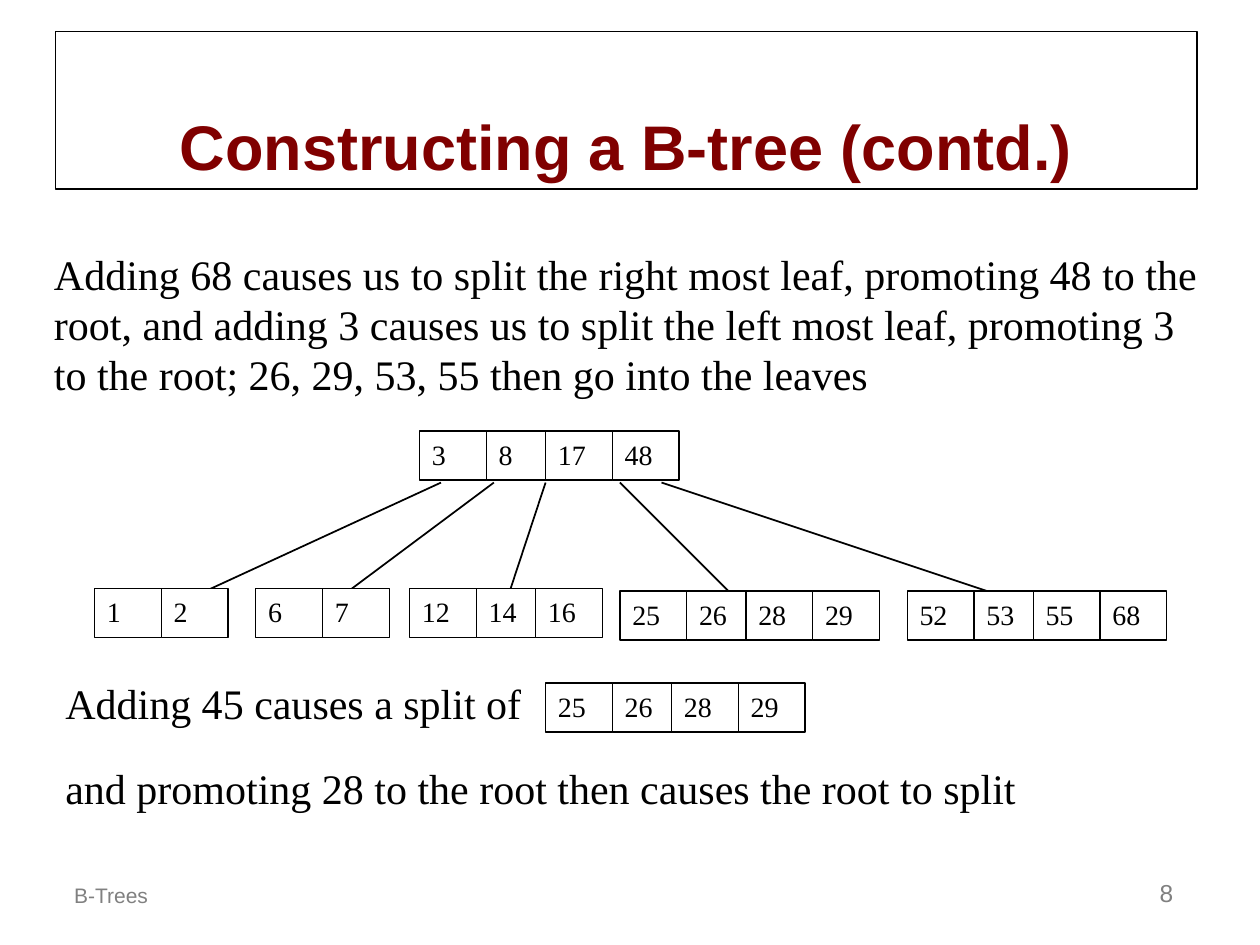
from typing import NamedTuple

from pptx import Presentation
from pptx.dml.color import RGBColor
from pptx.enum.shapes import MSO_CONNECTOR as Connector, MSO_SHAPE as Shape
from pptx.enum.text import MSO_ANCHOR as Anchor, PP_ALIGN as Align
from pptx.oxml.ns import qn
from pptx.shapes.shapetree import GroupShapes, SlideShapes
from pptx.util import Inches, Pt

COLORS = {"ink": "000000", "paper": "FFFFFF", "title": "800000", "footer": "808080"}
SANS, SERIF = "Arial", "Times New Roman"
CELL_OFFSETS = (0, 0.53, 1, 1.53)
CELL_WIDTH, CELL_HEIGHT = 0.53, 0.39
LINK_TOP, LINK_BOTTOM = 3.83, 4.83

ShapeTree = SlideShapes | GroupShapes


class Box(NamedTuple):
    left: float
    top: float
    width: float
    height: float


class Style(NamedTuple):
    size: int
    font: str = SERIF
    color: str = "ink"
    bold: bool = False
    align: Align = Align.LEFT
    anchor: Anchor = Anchor.TOP


class Label(NamedTuple):
    text: str
    box: Box
    style: Style


class Node(NamedTuple):
    left: float
    top: float
    keys: tuple[int, ...]


class Link(NamedTuple):
    start: float
    end: float


BODY = Style(24)
KEY = Style(16)
HEADING = Style(36, SANS, "title", True, Align.CENTER, Anchor.BOTTOM)

TITLE = Label("Constructing a B-tree (contd.)", Box(0.44, 0.25, 9.06, 1.25), HEADING)
LABELS = (
    Label("B-Trees", Box(0.49, 6.75, 3, 0.5),
          Style(12, SANS, "footer", anchor=Anchor.BOTTOM)),
    Label("8", Box(7.33, 6.75, 2.08, 0.5),
          Style(14, SANS, "footer", align=Align.RIGHT, anchor=Anchor.BOTTOM)),
    Label("Adding 68 causes us to split the right most leaf, promoting 48 to the root, "
          "and adding 3 causes us to split the left most leaf, promoting 3 to the root; "
          "26, 29, 53, 55 then go into the leaves", Box(0.33, 1.92, 9.33, 1.3), BODY),
)
LINKS = (Link(3.5, 1.33), Link(3.92, 2.58), Link(4.33, 4), Link(4.92, 5.92), Link(5.25, 8.25))
TREE = (
    Node(3.33, 3.42, (3, 8, 17, 48)),
    Node(7.2, 4.69, (52, 53, 55, 68)),
    Node(4.92, 4.69, (25, 26, 28, 29)),
    Node(0.75, 4.67, (1, 2)),
    Node(2.03, 4.67, (6, 7)),
    Node(3.25, 4.67, (12, 14, 16)),
)
SPLIT_LABELS = (
    Label("Adding 45 causes a split of", Box(0.42, 5.33, 4, 0.5), BODY),
    Label("and promoting 28 to the root then causes the root to split",
          Box(0.42, 6, 9.08, 0.5), BODY),
)
SPLIT_NODE = Node(4.33, 5.42, (25, 26, 28, 29))


def rgb(name: str) -> RGBColor:
    """Return the named colour."""
    return RGBColor.from_string(COLORS[name])


def write(shape, text: str, style: Style) -> None:
    """Write one styled run into a shape."""
    frame = shape.text_frame
    frame.word_wrap = True
    frame.vertical_anchor = style.anchor
    paragraph = frame.paragraphs[0]
    paragraph.alignment = style.align
    run = paragraph.add_run()
    run.text = text
    run.font.size = Pt(style.size)
    run.font.name = style.font
    run.font.bold = style.bold
    run.font.color.rgb = rgb(style.color)


def draw_label(shapes: ShapeTree, label: Label) -> None:
    """Draw a plain text box."""
    write(shapes.add_textbox(*map(Inches, label.box)), label.text, label.style)


def draw_framed(shapes: ShapeTree, label: Label) -> None:
    """Draw a white rectangle with a thin outline and text."""
    shape = shapes.add_shape(Shape.RECTANGLE, *map(Inches, label.box))
    shape.shadow.inherit = False
    shape.fill.solid()
    shape.fill.fore_color.rgb = rgb("paper")
    shape.line.color.rgb = rgb("ink")
    shape.line.width = Pt(0.75)
    write(shape, label.text, label.style)


def draw_node(shapes: ShapeTree, node: Node) -> None:
    """Draw a tree node as a row of key cells."""
    for offset, key in zip(CELL_OFFSETS, node.keys):
        box = Box(node.left + offset, node.top, CELL_WIDTH, CELL_HEIGHT)
        draw_framed(shapes, Label(str(key), box, KEY))


def draw_link(shapes: ShapeTree, link: Link) -> None:
    """Draw a line from the root to a leaf."""
    points = (link.start, LINK_TOP, link.end, LINK_BOTTOM)
    connector = shapes.add_connector(Connector.STRAIGHT, *map(Inches, points))
    connector.line.color.rgb = rgb("ink")
    connector.line.width = Pt(1)
    properties = connector.element.spPr
    properties.append(properties.makeelement(qn("a:effectLst"), {}))


def main() -> None:
    """Build and save the slide."""
    presentation = Presentation()
    presentation.slide_width = Inches(10)
    presentation.slide_height = Inches(7.5)
    slide = presentation.slides.add_slide(presentation.slide_layouts[6])
    shapes = slide.shapes
    for link in LINKS:
        draw_link(shapes, link)
    draw_framed(shapes, TITLE)
    for label in LABELS:
        draw_label(shapes, label)
    for node in TREE:
        draw_node(shapes, node)
    split_shapes = shapes.add_group_shape().shapes
    for label in SPLIT_LABELS:
        draw_label(split_shapes, label)
    draw_node(split_shapes, SPLIT_NODE)
    presentation.save("out.pptx")


if __name__ == "__main__":
    main()
